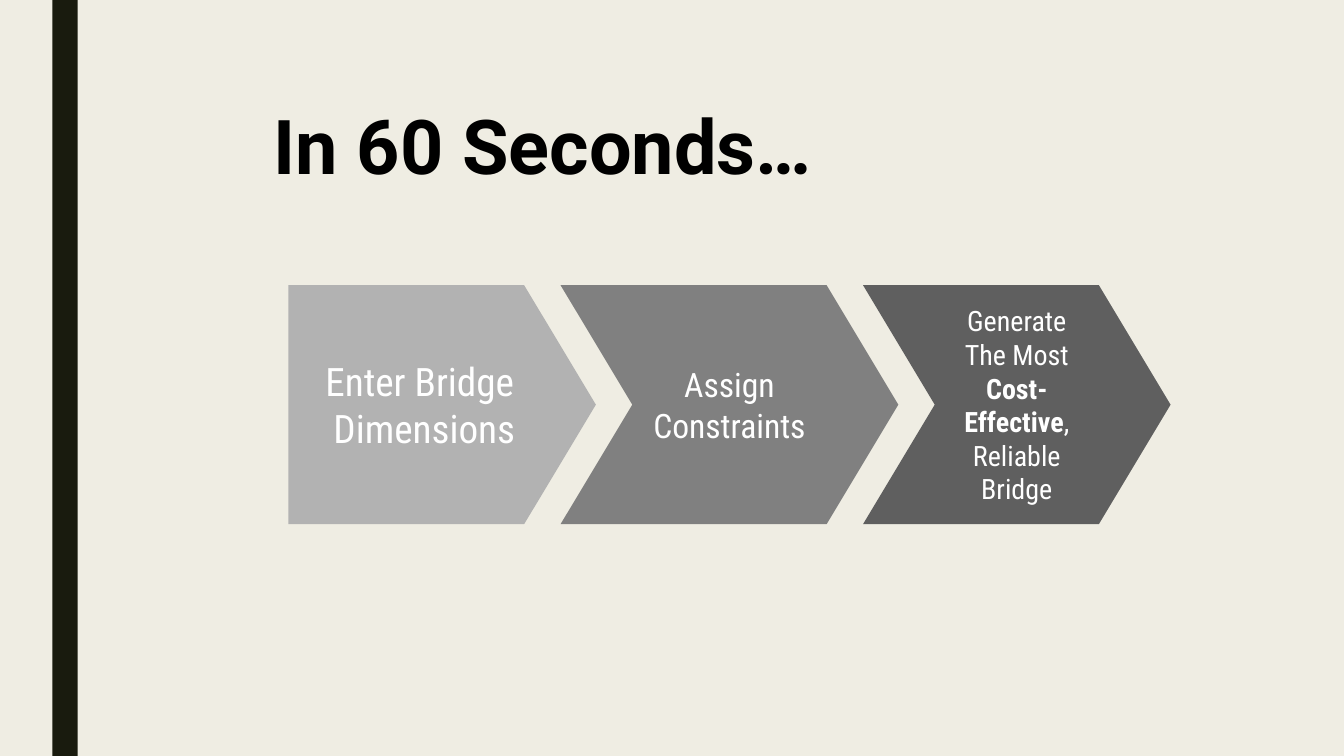
"""Build a slide with a three-step chevron process."""
from pptx import Presentation
from pptx.dml.color import RGBColor
from pptx.enum.shapes import MSO_SHAPE
from pptx.enum.text import MSO_ANCHOR, MSO_AUTO_SIZE, PP_ALIGN
from pptx.util import Inches, Pt

RECTANGLE, PENTAGON, CHEVRON = MSO_SHAPE.RECTANGLE, MSO_SHAPE.PENTAGON, MSO_SHAPE.CHEVRON
MIDDLE, CENTER = MSO_ANCHOR.MIDDLE, PP_ALIGN.CENTER
FIT_SHAPE = MSO_AUTO_SIZE.SHAPE_TO_FIT_TEXT
TITLE_ONLY = 5

COLORS = {
    "background": "EFEDE3",
    "stripe": "191B0E",
    "enter": "B2B2B2",
    "assign": "808080",
    "generate": "5F5F5F",
    "title": "000000",
    "label": "FFFFFF",
}
TITLE_FONT, LABEL_FONT = "Roboto", "Roboto Condensed"
SLIDE_WIDTH, SLIDE_HEIGHT = Inches(13.33), Inches(7.5)
STEP_LEFT, STEP_TOP, STEP_HEIGHT = Inches(2.86), Inches(2.83), Inches(2.37)
STEP_OVERLAP = Inches(0.35)
POINT_DEPTH = 0.3

STEPS = [
    (PENTAGON, 3.05, "enter", 28, [[("Enter Bridge ", False)], [("Dimensions", False)]]),
    (CHEVRON, 3.35, "assign", 24, [[("Assign Constraints", False)]]),
    (CHEVRON, 3.05, "generate", 20, [[
        ("Generate The Most ", False),
        ("Cost-Effective", True),
        (", Reliable Bridge", False),
    ]]),
]


def color(name):
    """Return the named palette color."""
    return RGBColor.from_string(COLORS[name])


def add_run(paragraph, text, font_name, size, color_name, bold):
    """Append a formatted run to a paragraph."""
    run = paragraph.add_run()
    run.text = text
    run.font.name = font_name
    run.font.size = Pt(size)
    run.font.bold = bold
    run.font.color.rgb = color(color_name)


def add_block(slide, kind, left, top, width, height, color_name):
    """Add a flat filled shape without line or shadow."""
    shape = slide.shapes.add_shape(kind, left, top, width, height)
    shape.shadow.inherit = False
    shape.fill.solid()
    shape.fill.fore_color.rgb = color(color_name)
    shape.line.fill.background()
    return shape


def add_step(slide, kind, left, width, color_name, size, lines):
    """Add one arrow-shaped step with its centered label."""
    shape = add_block(slide, kind, left, STEP_TOP, width, STEP_HEIGHT, color_name)
    shape.adjustments[0] = POINT_DEPTH
    frame = shape.text_frame
    frame.word_wrap = True
    frame.vertical_anchor = MIDDLE
    frame.margin_left = frame.margin_right = Inches(0.1)
    frame.margin_top = frame.margin_bottom = Inches(0.1)
    for index, runs in enumerate(lines):
        paragraph = frame.add_paragraph() if index else frame.paragraphs[0]
        paragraph.alignment = CENTER
        for text, bold in runs:
            add_run(paragraph, text, LABEL_FONT, size, "label", bold)


def set_title(slide, text):
    """Place and fill the title placeholder."""
    title = slide.shapes.title
    title.left, title.top = Inches(2.61), Inches(0.93)
    title.width, title.height = Inches(5.55), Inches(1.01)
    frame = title.text_frame
    frame.word_wrap = False
    frame.auto_size = FIT_SHAPE
    frame.vertical_anchor = MIDDLE
    paragraph = frame.paragraphs[0]
    paragraph.alignment = CENTER
    add_run(paragraph, text, TITLE_FONT, 54, "title", True)


def main():
    """Build and save the presentation."""
    presentation = Presentation()
    presentation.slide_width, presentation.slide_height = SLIDE_WIDTH, SLIDE_HEIGHT
    slide = presentation.slides.add_slide(presentation.slide_layouts[TITLE_ONLY])
    slide.background.fill.solid()
    slide.background.fill.fore_color.rgb = color("background")

    add_block(slide, RECTANGLE, Inches(0.52), 0, Inches(0.25), SLIDE_HEIGHT, "stripe")
    left = STEP_LEFT
    for kind, inches, color_name, size, lines in STEPS:
        width = Inches(inches)
        add_step(slide, kind, left, width, color_name, size, lines)
        left += width - STEP_OVERLAP
    set_title(slide, "In 60 Seconds…")
    presentation.save("out.pptx")


if __name__ == "__main__":
    main()
